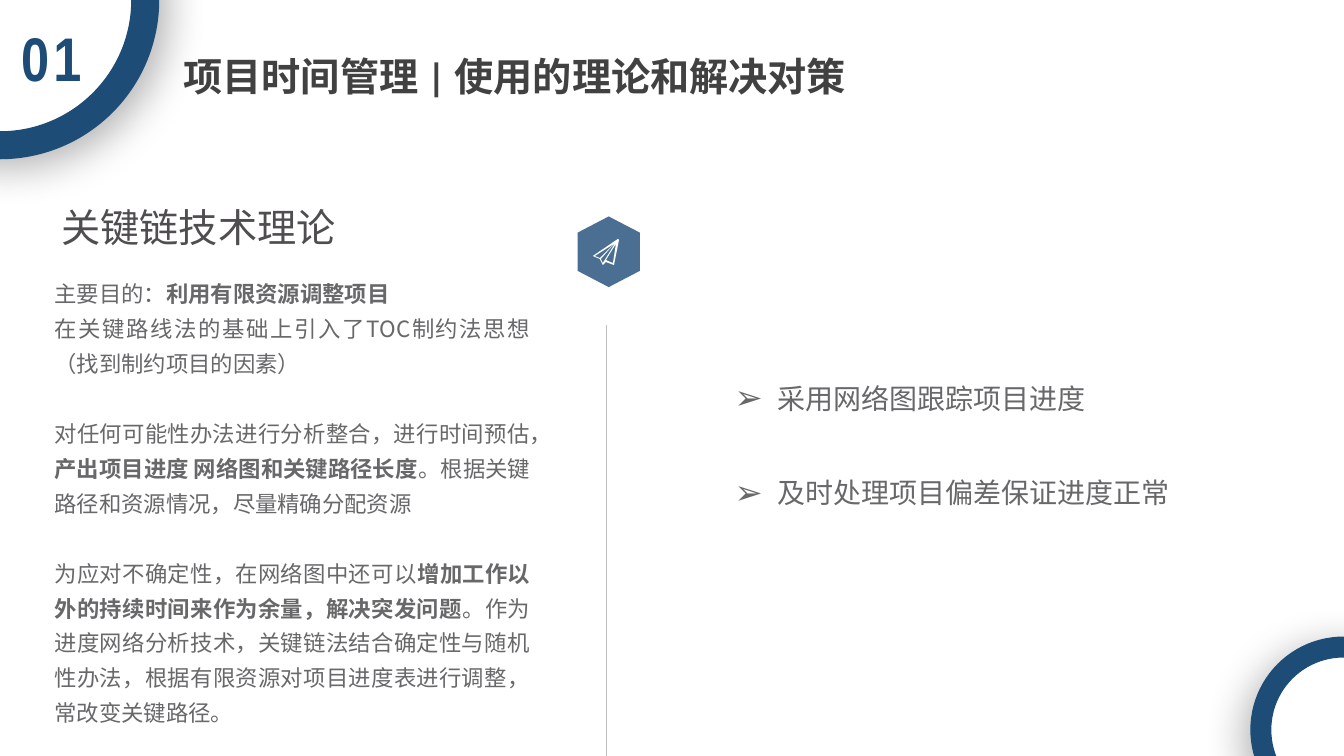
"""Build the slide on critical chain theory in project time management."""
from lxml.etree import SubElement
from pptx import Presentation
from pptx.dml.color import RGBColor
from pptx.enum.shapes import MSO_CONNECTOR as Connector, MSO_SHAPE as Shape
from pptx.enum.text import MSO_ANCHOR as Anchor, MSO_AUTO_SIZE as AutoSize, PP_ALIGN as Align
from pptx.oxml.ns import qn
from pptx.util import Cm, Pt

NAVY = RGBColor(0x1D, 0x4C, 0x77)
WHITE = RGBColor(0xFF, 0xFF, 0xFF)
SILVER = RGBColor(0xBF, 0xBF, 0xBF)
TITLE_GREY = RGBColor(0x41, 0x41, 0x41)
HEADING_GREY = RGBColor(0x4F, 0x4D, 0x50)
BODY_GREY = RGBColor(0x68, 0x67, 0x69)
CJK_FONT = "Noto Sans CJK SC"

THEORY = [
    (0, [("主要目的：", False), ("利用有限资源调整项目", True)]),
    (0, [("在关键路线法的基础上引入了TOC制约法思想（找到制约项目的因素）", False)]),
    (25, [("对任何可能性办法进行分析整合，进行时间预估，", False),
          ("产出项目进度 网络图和关键路径长度", True),
          ("。根据关键路径和资源情况，尽量精确分配资源", False)]),
    (25, [("为应对不确定性，在网络图中还可以", False),
          ("增加工作以外的持续时间来作为余量，解决突发问题", True),
          ("。作为进度网络分析技术，关键链法结合确定性与随机性办法，"
           "根据有限资源对项目进度表进行调整，常改变关键路径。", False)]),
]
MEASURES = [
    (0, [("采用网络图跟踪项目进度", False)]),
    (36.5, [("及时处理项目偏差保证进度正常", False)]),
]
PLANE = [
    [(25, 0), (0, 17), (7, 20), (10, 26), (13, 23), (21, 26), (26, 1)],
    [(20, 24), (13, 21), (23, 5)],
    [(8, 20), (23, 3), (10, 24)],
    [(2, 17), (21, 5), (7, 19)],
]


class SlideBuilder:
    def __init__(self, slide):
        self.slide = slide
        self.shapes = slide.shapes

    def text(self, shape, box, paragraphs, size, color, font=CJK_FONT,
             align=Align.LEFT, spacing=1.3, bullet=None, tracking=0):
        shape.left, shape.top, shape.width, shape.height = map(Cm, box)
        frame = shape.text_frame
        frame.word_wrap = True
        frame.auto_size = AutoSize.NONE
        frame.vertical_anchor = Anchor.TOP
        for index, (before, runs) in enumerate(paragraphs):
            paragraph = frame.add_paragraph() if index else frame.paragraphs[0]
            self.bullet(paragraph, bullet)
            paragraph.alignment = align
            paragraph.line_spacing = spacing
            paragraph.space_before = Pt(before)
            for words, bold in runs:
                run = paragraph.add_run()
                run.text = words
                run.font.size = Pt(size)
                run.font.bold = bold
                run.font.color.rgb = color
                run.font.name = font
                properties = run.font._element
                SubElement(properties, qn("a:ea"), typeface=CJK_FONT)
                if tracking:
                    properties.set("spc", str(tracking * 100))

    def bullet(self, paragraph, character):
        properties = paragraph._p.get_or_add_pPr()
        indent = Cm(1.07) if character else 0
        properties.set("marL", str(indent))
        properties.set("indent", str(-indent))
        if character:
            SubElement(properties, qn("a:buSzPct"), val="120000")
            SubElement(properties, qn("a:buChar"), char=character)
        else:
            SubElement(properties, qn("a:buNone"))

    def text_box(self, box, paragraphs, size, color, **style):
        shape = self.shapes.add_textbox(*map(Cm, box))
        self.text(shape, box, paragraphs, size, color, **style)

    def ring(self, center_x, center_y, diameter, line_width, shadow_angle):
        radius = diameter / 2
        shape = self.shapes.add_shape(Shape.OVAL, Cm(center_x - radius), Cm(center_y - radius),
                                      Cm(diameter), Cm(diameter))
        shape.fill.solid()
        shape.fill.fore_color.rgb = WHITE
        shape.line.color.rgb = NAVY
        shape.line.width = Pt(line_width)
        shape.shadow.inherit = False
        effects = shape._element.spPr.find(qn("a:effectLst"))
        shadow = SubElement(effects, qn("a:outerShdw"), blurRad=str(Pt(30)), dist=str(Pt(8)),
                            dir=str(shadow_angle * 60000), algn="ctr", rotWithShape="0")
        black = SubElement(shadow, qn("a:srgbClr"), val="000000")
        SubElement(black, qn("a:alpha"), val="30000")

    def hexagon(self, box):
        shape = self.shapes.add_shape(Shape.HEXAGON, *map(Cm, box))
        shape.rotation = 90
        shape.adjustments[0] = 0.26
        self.flat_fill(shape, NAVY)
        color = shape._element.spPr.find(qn("a:solidFill"))[0]
        SubElement(color, qn("a:alpha"), val="80000")

    def outline(self, left, top, contours):
        first, *others = contours
        builder = self.shapes.build_freeform(*first[0], scale=Cm(2.54) / 100)
        builder.add_line_segments(first[1:], close=True)
        for contour in others:
            builder.move_to(*contour[0])
            builder.add_line_segments(contour[1:], close=True)
        self.flat_fill(builder.convert_to_shape(Cm(left), Cm(top)), WHITE)

    def flat_fill(self, shape, color):
        shape.fill.solid()
        shape.fill.fore_color.rgb = color
        shape.line.fill.background()
        shape.shadow.inherit = False

    def line(self, *ends):
        connector = self.shapes.add_connector(Connector.STRAIGHT, *map(Cm, ends))
        connector.line.color.rgb = SILVER
        connector.line.width = Pt(0.5)
        SubElement(connector._element.spPr, qn("a:effectLst"))


def main():
    presentation = Presentation()
    presentation.slide_width, presentation.slide_height = Cm(33.87), Cm(19.05)
    slide = presentation.slides.add_slide(presentation.slide_layouts[3])
    title, theory, measures = slide.placeholders
    builder = SlideBuilder(slide)

    builder.line(15.29, 8.2, 15.29, 19.96)
    builder.hexagon((14.45, 5.56, 1.78, 1.57))
    builder.outline(14.94, 6.02, PLANE)
    builder.ring(0, 0, 7.32, 20, 45)
    builder.ring(33.86, 18.39, 4.17, 15, 125)
    builder.text_box((0, 0.38, 2.59, 2.13), [(0, [("01", True)])], 44, NAVY,
                     font="Arial Narrow", align=Align.CENTER, spacing=1.0, tracking=3)
    builder.text(title, (4.37, 1.19, 17.4, 1.45),
                 [(0, [("项目时间管理 | 使用的理论和解决对策", True)])],
                 28, TITLE_GREY, font="Calibri", spacing=1.0)
    builder.text_box((1.3, 4.65, 8.69, 1.65), [(0, [("关键链技术理论", False)])],
                     28, HEADING_GREY)
    builder.text(theory, (1.12, 6.73, 12.5, 12.32), THEORY, 16, BODY_GREY,
                 align=Align.JUSTIFY)
    builder.text(measures, (18.26, 9.22, 14.5, 4), MEASURES, 20, BODY_GREY,
                 align=Align.JUSTIFY, bullet="➢")
    presentation.save("out.pptx")


if __name__ == "__main__":
    main()
